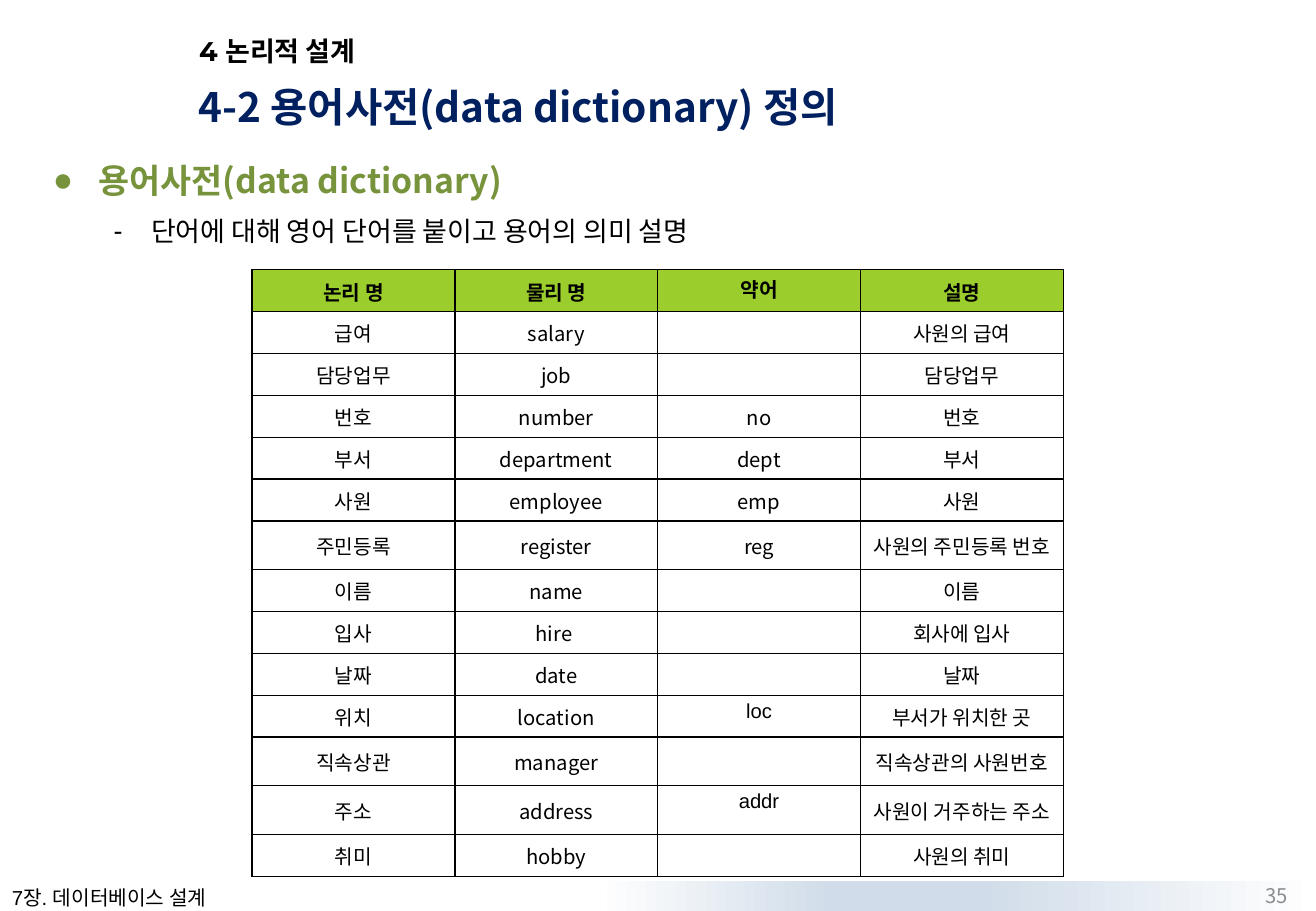
"""Build the slide that defines the data dictionary as a table of terms."""
from dataclasses import dataclass

from lxml import etree
from pptx import Presentation
from pptx.dml.color import RGBColor
from pptx.enum.shapes import MSO_SHAPE
from pptx.enum.text import MSO_ANCHOR, MSO_AUTO_SIZE, PP_ALIGN
from pptx.oxml.ns import qn
from pptx.util import Pt

EMU_PER_PX = 4572
KOREAN, LATIN, DISPLAY = "Noto Sans CJK KR", "Arial", "Montserrat"
BLACK, WHITE, NAVY, GREEN, GRAY = "000000", "FFFFFF", "002060", "77933C", "8C8C8C"
HEADER_GREEN, BAND_BLUE = "9BCD2D", "D0DCE9"
TOP, MIDDLE, BOTTOM = MSO_ANCHOR.TOP, MSO_ANCHOR.MIDDLE, MSO_ANCHOR.BOTTOM
LEFT, CENTER, RIGHT = PP_ALIGN.LEFT, PP_ALIGN.CENTER, PP_ALIGN.RIGHT
RECTANGLE = MSO_SHAPE.RECTANGLE
NO_AUTOFIT = MSO_AUTO_SIZE.NONE

BAND_BOX = (983, 1451, 1184, 49)
PANEL_BOX = (67, 217, 2100, 1233)
BAND_STOPS = ((0, WHITE), (33, BAND_BLUE), (53, BAND_BLUE), (100, WHITE))
ROW_HEIGHT, TALL_ROW_HEIGHT, COLUMN_WIDTH = 69, 80, 334
TALL_ROWS = {6, 11, 12}
LATIN_CELLS = {(0, 2), (10, 2), (12, 2)}
TERMS = [
    ("논리 명", "물리 명", "약어", "설명"),
    ("급여", "salary", "", "사원의 급여"),
    ("담당업무", "job", "", "담당업무"),
    ("번호", "number", "no", "번호"),
    ("부서", "department", "dept", "부서"),
    ("사원", "employee", "emp", "사원"),
    ("주민등록", "register", "reg", "사원의 주민등록 번호"),
    ("이름", "name", "", "이름"),
    ("입사", "hire ", "", "회사에 입사"),
    ("날짜", "date", "", "날짜"),
    ("위치", "location", "loc", "부서가 위치한 곳"),
    ("직속상관", "manager", "", "직속상관의 사원번호"),
    ("주소", "address", "addr", "사원이 거주하는 주소"),
    ("취미", "hobby", "", "사원의 취미"),
]


@dataclass(frozen=True)
class Line:
    text: str
    size: int
    color: str = BLACK
    font: str = KOREAN
    bold: bool = False
    align: PP_ALIGN = LEFT
    bullet: str = ""
    level: int = 0
    margin: int = 0
    hanging: int = 0
    spacing: float = 1.0
    before: int = 0


@dataclass(frozen=True)
class Block:
    box: tuple[int, int, int, int]
    lines: tuple[Line, ...]
    anchor: MSO_ANCHOR = TOP
    wrap: bool = True


HEADING = Block((308, 50, 1340, 66),
                (Line("4 논리적 설계", 16, font=DISPLAY, bold=True),), MIDDLE)
SECTION = Block((307, 133, 1542, 92),
                (Line("4-2 용어사전(data dictionary) 정의", 24, NAVY, bold=True),), BOTTOM)
OUTLINE = Block((67, 233, 2066, 1184), (
    Line("용어사전(data dictionary)", 20, GREEN, bold=True,
         bullet="●", margin=75, hanging=75, spacing=1.3),
    Line("단어에 대해 영어 단어를 붙이고 용어의 의미 설명", 16,
         bullet="-", level=1, margin=162, hanging=62, spacing=1.3, before=3),
))
CHAPTER = Block((0, 1448, 394, 60),
                (Line("7장. 데이터베이스 설계", 12, font=LATIN),), wrap=False)
PAGE_NUMBER = Block((1634, 1450, 506, 50),
                    (Line("35", 12, GRAY, align=RIGHT),), MIDDLE)


def px(length: int) -> int:
    return length * EMU_PER_PX


def rgb(color: str) -> RGBColor:
    return RGBColor.from_string(color)


def add_color(parent, color: str) -> None:
    etree.SubElement(parent, qn("a:srgbClr"), val=color)


def write_line(paragraph, line: Line) -> None:
    paragraph.text = line.text
    paragraph.level = line.level
    paragraph.alignment = line.align
    paragraph.line_spacing = line.spacing
    paragraph.space_before = Pt(line.before)
    properties = paragraph._p.get_or_add_pPr()
    properties.set("marL", str(px(line.margin)))
    properties.set("indent", str(-px(line.hanging)))
    if line.bullet:
        etree.SubElement(properties, qn("a:buChar"), char=line.bullet)
    else:
        etree.SubElement(properties, qn("a:buNone"))
    font = paragraph.font
    font.name, font.size, font.bold = line.font, Pt(line.size), line.bold
    font.color.rgb = rgb(line.color)
    east_asian = etree.Element(qn("a:ea"), typeface=KOREAN)
    properties.find(qn("a:defRPr")).find(qn("a:latin")).addnext(east_asian)


def write_block(shape, block: Block) -> None:
    shape.left, shape.top, shape.width, shape.height = map(px, block.box)
    frame = shape.text_frame
    frame.word_wrap = block.wrap
    frame.auto_size = NO_AUTOFIT
    frame.vertical_anchor = block.anchor
    for index, line in enumerate(block.lines):
        write_line(frame.add_paragraph() if index else frame.paragraphs[0], line)


def add_rectangle(slide, box: tuple[int, int, int, int]):
    rectangle = slide.shapes.add_shape(RECTANGLE, *map(px, box))
    rectangle.shadow.inherit = False
    rectangle.line.fill.background()
    slide.shapes._spTree.remove(rectangle._element)
    first_placeholder = slide.placeholders[0]._element
    first_placeholder.addprevious(rectangle._element)
    return rectangle


def add_backdrop(slide) -> None:
    band = add_rectangle(slide, BAND_BOX)
    band.fill.gradient()
    band.fill.gradient_angle = 0
    stops = band._element.spPr.find(qn("a:gradFill")).find(qn("a:gsLst"))
    for stop in list(stops):
        stops.remove(stop)
    for percent, color in BAND_STOPS:
        add_color(etree.SubElement(stops, qn("a:gs"), pos=str(percent * 1000)), color)
    panel = add_rectangle(slide, PANEL_BOX)
    panel.fill.solid()
    panel.fill.fore_color.rgb = rgb(WHITE)


def add_borders(cell) -> None:
    properties = cell._tc.get_or_add_tcPr()
    for side in ("lnL", "lnR", "lnT", "lnB"):
        border = etree.SubElement(properties, qn(f"a:{side}"), w=str(Pt(1)))
        add_color(etree.SubElement(border, qn("a:solidFill")), BLACK)


def add_term_table(slide) -> None:
    heights = [TALL_ROW_HEIGHT if row in TALL_ROWS else ROW_HEIGHT
               for row in range(len(TERMS))]
    columns = len(TERMS[0])
    table = slide.shapes.add_table(
        len(TERMS), columns, px(415), px(444),
        px(columns * COLUMN_WIDTH), px(sum(heights))).table
    table.first_row = table.horz_banding = False
    for column in table.columns:
        column.width = px(COLUMN_WIDTH)
    for row, (height, words) in enumerate(zip(heights, TERMS)):
        table.rows[row].height = px(height)
        for column, word in enumerate(words):
            cell = table.cell(row, column)
            latin = (row, column) in LATIN_CELLS
            cell.margin_left = cell.margin_right = px(16 if latin else 2)
            cell.margin_top = px(8 if latin else 2)
            cell.margin_bottom = px(8 if latin else 0)
            cell.vertical_anchor = TOP if latin else MIDDLE
            add_borders(cell)
            if row == 0:
                cell.fill.solid()
                cell.fill.fore_color.rgb = rgb(HEADER_GREEN)
            else:
                cell.fill.background()
            write_line(cell.text_frame.paragraphs[0],
                       Line(word, 12, font=LATIN if latin else KOREAN,
                            bold=row == 0, align=CENTER))


def main() -> None:
    presentation = Presentation()
    presentation.slide_width, presentation.slide_height = px(2167), px(1500)
    slide = presentation.slides.add_slide(presentation.slide_layouts[3])
    add_backdrop(slide)
    for position, block in enumerate((HEADING, OUTLINE, SECTION)):
        write_block(slide.placeholders[position], block)
    for block in (CHAPTER, PAGE_NUMBER):
        write_block(slide.shapes.add_textbox(*map(px, block.box)), block)
    add_term_table(slide)
    presentation.save("out.pptx")


if __name__ == "__main__":
    main()
